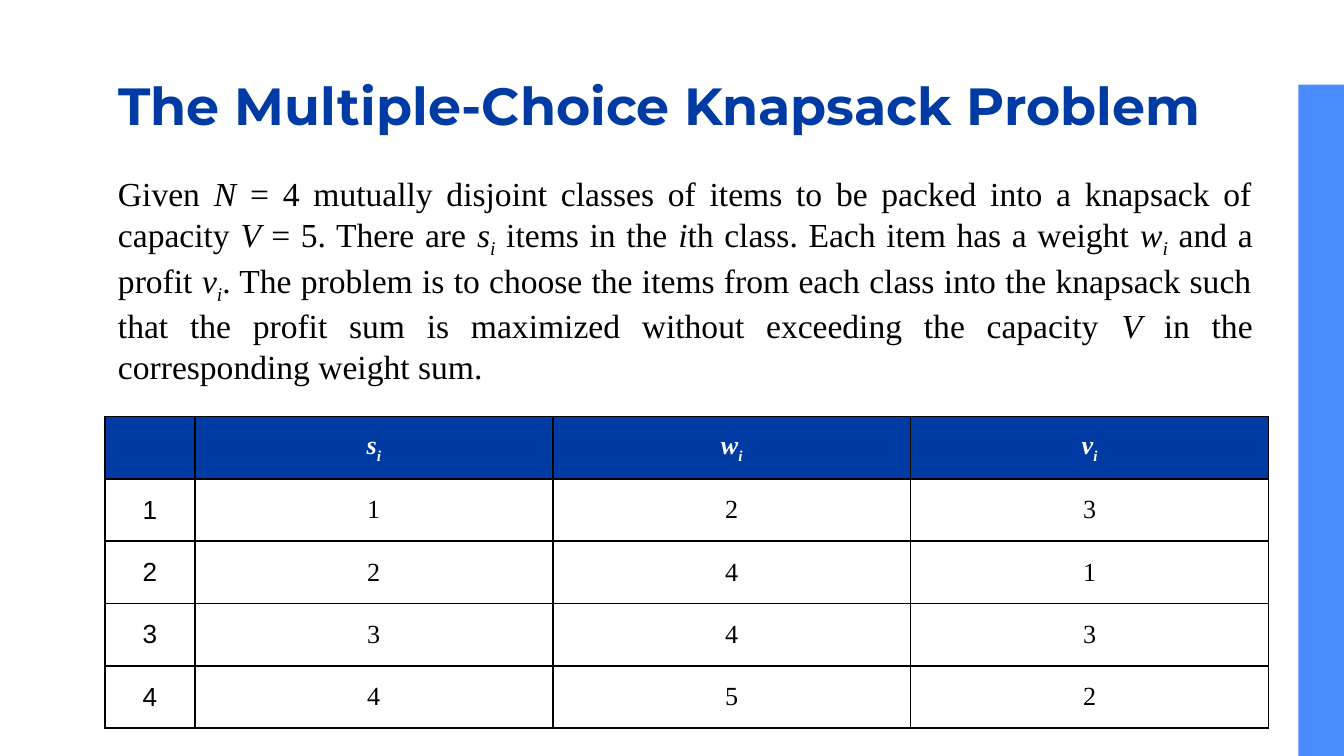
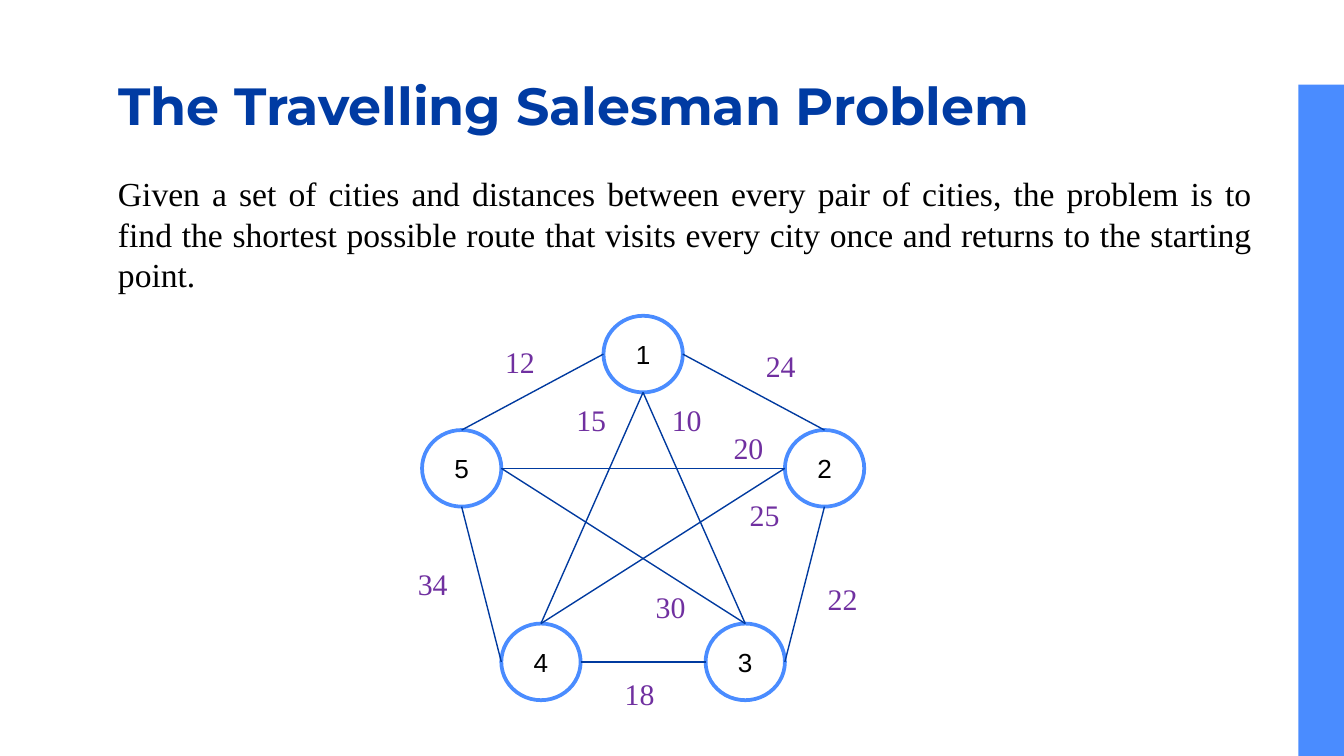
"""Two slides on combinatorial problems: knapsack and travelling salesman."""
from collections import namedtuple

from lxml import etree
from pptx import Presentation
from pptx import util as u
from pptx.dml.color import RGBColor
from pptx.enum import shapes, text
from pptx.oxml.ns import qn

PX = 9144
Box = namedtuple("Box", "left top width height")

NAVY = RGBColor(0x00, 0x3B, 0xA3)
EDGE = RGBColor(0x00, 0x3A, 0x9F)
SKY = RGBColor(0x4A, 0x8C, 0xFF)
PURPLE = RGBColor(0x70, 0x30, 0xA0)
BLACK = RGBColor(0, 0, 0)
WHITE = RGBColor(0xFF, 0xFF, 0xFF)
SERIF, SANS, HEADING = "Times New Roman", "Arial", "Montserrat"

TITLE = Box(78, 42, 864, 71)
BAND = Box(733, 296, 500, 34)
CITY_WIDTH, CITY_HEIGHT = 59, 57
TOP, LEFT, BOTTOM, RIGHT = (0.5, 0), (0, 0.5), (0.5, 1), (1, 0.5)

KNAPSACK = [
    ("Given ", ""), ("N ", "i"),
    ("= 4 mutually disjoint classes of items to be packed into a knapsack of capacity ", ""),
    ("V ", "i"), ("= 5. There are ", ""), ("s", "i"), ("i", "sub"),
    (" items in the ", ""), ("i", "i"), ("th class. Each item has a weight ", ""),
    ("w", "i"), ("i", "sub"), (" and a profit ", ""), ("v", "i"), ("i", "sub"),
    (". The problem is to choose the items from each class into the knapsack such that "
     "the profit sum is maximized without exceeding the capacity ", ""),
    ("V", "i"), (" in the corresponding weight sum.", ""),
]
SALESMAN = [
    ("Given a set of cities and distances between every pair of cities, the problem is to "
     "find the shortest possible route that visits every city once and returns to the "
     "starting point.", ""),
]
SYMBOLS = "swv"
CLASSES = [(1, 1, 2, 3), (2, 2, 4, 1), (3, 3, 4, 3), (4, 4, 5, 2)]

CITIES = {2: (283, 85), 4: (72, 229), 5: (13, 85), 1: (148, 0), 3: (224, 229)}
ROADS = [
    (1, BOTTOM, 3, TOP, 10, (189, 59)),
    (4, TOP, 1, BOTTOM, 15, (118, 59)),
    (4, RIGHT, 3, LEFT, 18, (154, 263)),
    (3, RIGHT, 2, BOTTOM, 22, (305, 192)),
    (2, TOP, 1, RIGHT, 24, (259, 19)),
    (5, TOP, 1, LEFT, 12, (65, 16)),
    (4, LEFT, 5, BOTTOM, 34, (0, 181)),
    (5, RIGHT, 2, LEFT, 20, (235, 80)),
    (5, RIGHT, 3, TOP, 30, (177, 198)),
    (2, LEFT, 4, TOP, 25, (247, 130)),
]


def emu(lengths):
    """Turn px lengths into EMU."""
    return [u.Emu(round(length * PX)) for length in lengths]


def style(paragraph, font, size, color, bold=False, align=text.PP_ALIGN.LEFT):
    """Format a paragraph and all its runs."""
    paragraph.alignment = align
    for run in paragraph.runs:
        run.font.name = font
        run.font.size = u.Pt(size)
        run.font.color.rgb = color
        run.font.bold = bold


def write_runs(paragraph, pieces):
    """Write pieces marked plain, italic or italic subscript."""
    for words, mark in pieces:
        run = paragraph.add_run()
        run.text = words
        run.font.italic = bool(mark)
        if mark == "sub":
            run.font._element.set("baseline", "-25000")


def set_insets(frame, inset):
    """Give all four sides the same inset."""
    frame.margin_left = frame.margin_right = u.Emu(inset * PX)
    frame.margin_top = frame.margin_bottom = u.Emu(inset * PX)


def start_slide(deck, heading):
    """Add a slide with the side band and its title."""
    slide = deck.slides.add_slide(deck.slide_layouts[5])
    band = slide.shapes.add_shape(shapes.MSO_SHAPE.RECTANGLE, *emu(BAND))
    band.rotation = 90
    band.shadow.inherit = False
    band.fill.solid()
    band.fill.fore_color.rgb = SKY
    band.line.fill.background()

    title = slide.shapes.title
    title.left, title.top, title.width, title.height = emu(TITLE)
    frame = title.text_frame
    frame.text = heading
    frame.auto_size = text.MSO_AUTO_SIZE.NONE
    frame.vertical_anchor = text.MSO_ANCHOR.MIDDLE
    set_insets(frame, 10)
    style(frame.paragraphs[0], HEADING, 28, NAVY, bold=True)
    return slide


def add_text(slide, box, pieces, size, color, align=text.PP_ALIGN.LEFT):
    """Add a wrapping serif text box."""
    frame = slide.shapes.add_textbox(*emu(box)).text_frame
    frame.word_wrap = True
    frame.auto_size = text.MSO_AUTO_SIZE.SHAPE_TO_FIT_TEXT
    write_runs(frame.paragraphs[0], pieces)
    style(frame.paragraphs[0], SERIF, size, color, align=align)


def add_statement(slide, box, pieces):
    """Add the justified problem statement."""
    add_text(slide, box, pieces, 18, BLACK, text.PP_ALIGN.JUSTIFY)


def border_cell(cell):
    """Draw a thin black line on each side of a cell."""
    properties = cell._tc.get_or_add_tcPr()
    for side in ("a:lnL", "a:lnR", "a:lnT", "a:lnB"):
        line = etree.SubElement(properties, qn(side), w=str(u.Pt(1)))
        fill = etree.SubElement(line, qn("a:solidFill"))
        etree.SubElement(fill, qn("a:srgbClr"), val=str(BLACK))


def fill_cell(cell, pieces, font, color, bold=False):
    """Write centred text in a cell."""
    cell.vertical_anchor = text.MSO_ANCHOR.MIDDLE
    set_insets(cell, 10)
    paragraph = cell.text_frame.paragraphs[0]
    write_runs(paragraph, pieces)
    style(paragraph, font, 14, color, bold, text.PP_ALIGN.CENTER)


def add_class_table(slide, box):
    """Add the table of item counts, weights and profits."""
    index_width = 67
    row_count, column_count = len(CLASSES) + 1, len(SYMBOLS) + 1
    table = slide.shapes.add_table(row_count, column_count, *emu(box)).table
    table.horz_banding = False
    value_width = (box.width - index_width) / len(SYMBOLS)
    widths = emu([index_width] + [value_width] * len(SYMBOLS))
    for column, width in zip(table.columns, widths):
        column.width = width
    for row in table.rows:
        row.height = emu([box.height / row_count])[0]

    for cell in table.iter_cells():
        border_cell(cell)
        cell.fill.background()
    for cell in table.rows[0].cells:
        cell.fill.solid()
        cell.fill.fore_color.rgb = NAVY
    for column, symbol in enumerate(SYMBOLS, 1):
        fill_cell(table.cell(0, column), [(symbol, "i"), ("i", "sub")], SERIF, WHITE, True)
    for row, values in enumerate(CLASSES, 1):
        for column, value in enumerate(values):
            font = SERIF if column else SANS
            fill_cell(table.cell(row, column), [(str(value), "")], font, BLACK)


def add_city(slide, box, number):
    """Add a numbered city circle."""
    city = slide.shapes.add_shape(shapes.MSO_SHAPE.OVAL, *emu(box))
    city.shadow.inherit = False
    city.fill.background()
    city.line.color.rgb = SKY
    city.line.width = u.Pt(2)
    frame = city.text_frame
    frame.text = str(number)
    frame.vertical_anchor = text.MSO_ANCHOR.MIDDLE
    style(frame.paragraphs[0], SANS, 14, BLACK, align=text.PP_ALIGN.CENTER)


def add_road(slide, start, end):
    """Add a thin line between two points."""
    road = slide.shapes.add_connector(shapes.MSO_CONNECTOR.STRAIGHT, *emu(start + end))
    road.line.color.rgb = EDGE
    road.line.width = u.Pt(0.75)
    etree.SubElement(road._element.spPr, qn("a:effectLst"))


def add_city_graph(slide, box):
    """Add the cities, the roads and their distances."""
    places = {number: Box(box.left + x, box.top + y, CITY_WIDTH, CITY_HEIGHT)
              for number, (x, y) in CITIES.items()}

    def port(number, side):
        """Find the point on one side of a city."""
        place = places[number]
        return (place.left + side[0] * place.width, place.top + side[1] * place.height)

    for number, place in places.items():
        add_city(slide, place, number)
    for origin, exit_side, target, entry_side, _, _ in ROADS:
        add_road(slide, port(origin, exit_side), port(target, entry_side))
    for *_, distance, (x, y) in ROADS:
        label = Box(box.left + x, box.top + y, 48, 37)
        add_text(slide, label, [(str(distance), "")], 16, PURPLE)


def main():
    """Build and save both slides."""
    deck = Presentation()
    deck.slide_width = u.Emu(1000 * PX)
    deck.slide_height = u.Emu(deck.slide_width * 9 // 16)

    knapsack = start_slide(deck, "The Multiple-Choice Knapsack Problem")
    add_class_table(knapsack, Box(78, 310, 866, 232))
    add_statement(knapsack, Box(78, 124, 864, 162), KNAPSACK)

    salesman = start_slide(deck, "The Travelling Salesman Problem")
    add_statement(salesman, Box(78, 124, 864, 101), SALESMAN)
    add_city_graph(salesman, Box(301, 235, 353, 300))

    deck.save("out.pptx")


if __name__ == "__main__":
    main()
